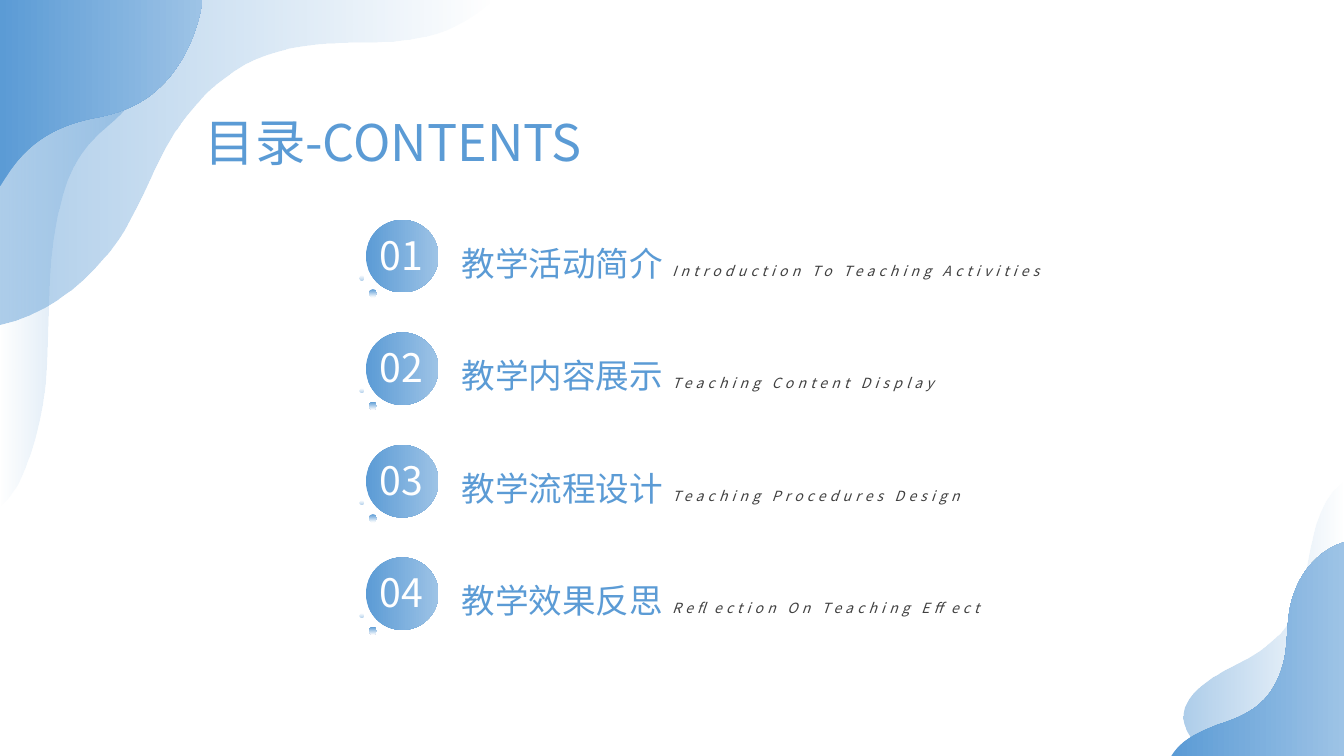
from dataclasses import dataclass

from lxml import etree
from pptx import Presentation
from pptx import util as u
from pptx.dml.color import RGBColor
from pptx.enum import shapes, text
from pptx.oxml.ns import qn

# Slide grid: square cells, a tenth of an inch wide
COLUMNS, ROWS = 133.33, 75
CELL = u.Inches(0.1)
ROW_PITCH = 11.16

FONT = "Noto Sans CJK SC"
COLOURS = {"blue": "5B9BD5", "sky": "9DC3E6", "white": "FFFFFF", "ink": "404040"}

Point = tuple[float, float]


@dataclass(frozen=True)
class Box:
    left: float
    top: float
    width: float
    height: float

    def lower(self, rows: float) -> "Box":
        return Box(self.left, self.top + rows, self.width, self.height)

    def lengths(self) -> list[int]:
        return [cells(n) for n in (self.left, self.top, self.width, self.height)]


@dataclass(frozen=True)
class Gradient:
    names: tuple[str, str]
    opacity: tuple[int, int] = (100, 100)
    angle: int = 0  # counter-clockwise degrees


@dataclass(frozen=True)
class Wave:
    box: Box
    gradient: Gradient
    start: Point
    segments: tuple[tuple[Point, ...], ...]  # three points: curve, one: line


@dataclass(frozen=True)
class Style:
    size: int
    colour: str | Gradient
    italic: bool = False
    spacing: int = 0
    align: text.PP_ALIGN = text.PP_ALIGN.LEFT


@dataclass(frozen=True)
class Disc:
    box: Box
    gradient: Gradient


@dataclass(frozen=True)
class Entry:
    chinese: str
    english: str


SOLID = Gradient(("blue", "sky"))
LETTERS = Gradient(("blue", "sky"), angle=315)
FADE_OUT = Gradient(("blue", "blue"), (50, 0))
FADE_IN = Gradient(("blue", "blue"), (0, 50))

WAVES = (
    # Bottom right corner
    Wave(Box(117.4, 47.7, 15.93, 27.3), FADE_OUT, (132.2, 48.8), (
        ((130.1, 51.5), (130, 54.9), (129.3, 58.1)),
        ((128.4, 62.3), (126.2, 64.1), (122.5, 66)),
        ((119.9, 67.3), (115.7, 69.7), (118.1, 73.1)),
        ((118.6, 73.8), (119.3, 74.5), (120.1, ROWS)),
        ((COLUMNS, ROWS),), ((COLUMNS, 47.7),),
        ((132.9, 48.1), (132.6, 48.4), (132.2, 48.8)))),
    Wave(Box(116.2, 53.8, 17.13, 21.2), SOLID, (COLUMNS, 53.8), (
        ((131, 54.5), (129.2, 56.5), (128.4, 58.8)),
        ((127.4, 61.3), (128, 64), (127.1, 66.5)),
        ((126, 69.7), (124, 70.9), (120.8, 71.9)),
        ((119.3, 72.5), (117.2, 73.3), (116.2, ROWS)),
        ((COLUMNS, ROWS),))),
    # Top left corner
    Wave(Box(0, 6, 14.7, 44.3), FADE_IN, (0, 50.3), (
        ((2, 48.9), (3.5, 44.6), (4.3, 40)),
        ((5.1, 34.7), (4.5, 29.1), (5.3, 23.9)),
        ((6.3, 17.1), (8, 14.7), (10.8, 12.4)),
        ((12.1, 11.3), (13.9, 9.5), (14.7, 6)),
        ((0, 6),))),
    Wave(Box(0, 0, 49.1, 32.2), FADE_OUT, (10.4, 25.5), (
        ((14.3, 21), (14.9, 16), (18.6, 11.4)),
        ((23.5, 5.3), (28.5, 4.3), (35.9, 4.3)),
        ((37.9, 4.3), (40.2, 4.2), (42.3, 3.7)),
        ((45, 3.1), (47.1, 1.7), (49.1, 0)),
        ((0, 0),), ((0, 32.2),),
        ((4.1, 31.3), (7.7, 28.7), (10.4, 25.5)))),
    Wave(Box(0, 0, 20.1, 18.5), SOLID, (0.7, 17.4), (
        ((2.9, 13.9), (5.9, 12.3), (9.9, 11.6)),
        ((11.4, 11.3), (12.7, 10.8), (13.8, 10.2)),
        ((18.8, 7.3), (19.9, 1.4), (20.1, 0)),
        ((0, 0),), ((0, 18.5),))),
)

DISCS = (
    Disc(Box(36.3, 21.82, 7.2, 7.2), SOLID),
    Disc(Box(36.6, 28.71, 0.8, 0.8), Gradient(("blue", "white"), angle=270)),
    Disc(Box(35.7, 27.38, 0.4, 0.4), Gradient(("blue", "blue"), (0, 50), 270)),
)

TITLE_BOX = Box(19.3, 10.5, 49.1, 7.1)
NUMBER_BOX = Box(35.25, 22.43, 9.2, 5.7)
CHINESE_BOX = Box(44.8, 23.57, 24, 5)
ENGLISH_BOX = Box(65.7, 25.55, 42.2, 2.7)

TITLE_STYLE = Style(36, LETTERS)
NUMBER_STYLE = Style(28, "white", align=text.PP_ALIGN.CENTER)
CHINESE_STYLE = Style(24, LETTERS)
ENGLISH_STYLE = Style(10, "ink", italic=True, spacing=3)

ENTRIES = (
    Entry("教学活动简介", "Introduction To Teaching Activities"),
    Entry("教学内容展示", "Teaching Content Display"),
    Entry("教学流程设计", "Teaching Procedures Design"),
    Entry("教学效果反思", "Reflection On Teaching Effect"),
)


def cells(count: float) -> int:
    return round(count * CELL)


def rgb(name: str) -> RGBColor:
    return RGBColor.from_string(COLOURS[name])


def paint(fill, owner, gradient: Gradient) -> None:
    fill.gradient()
    fill.gradient_angle = gradient.angle
    for stop, name in zip(fill.gradient_stops, gradient.names):
        stop.color.rgb = rgb(name)
    for colour, opacity in zip(owner.iter(qn("a:srgbClr")), gradient.opacity):
        if opacity < 100:
            etree.SubElement(colour, qn("a:alpha"), val=str(opacity * 1000))


def finish(shape, gradient: Gradient) -> None:
    shape.shadow.inherit = False
    shape.line.fill.background()
    paint(shape.fill, shape.element.spPr, gradient)


def draw_wave(page, wave: Wave) -> None:
    ends = [(cells(x), cells(y)) for x, y in (s[-1] for s in wave.segments)]
    builder = page.shapes.build_freeform(cells(wave.start[0]), cells(wave.start[1]))
    builder.add_line_segments(ends, close=True)
    shape = builder.convert_to_shape()
    shape.left, shape.top, shape.width, shape.height = wave.box.lengths()
    # Bend the segments, measured from the corner of the wave's box
    outline = next(shape.element.iter(qn("a:path")))
    outline.set("w", str(shape.width))
    outline.set("h", str(shape.height))
    for step, points in zip(outline, ((wave.start,), *wave.segments)):
        if len(points) == 3:
            step.tag = qn("a:cubicBezTo")
        for corner in list(step):
            step.remove(corner)
        for x, y in points:
            etree.SubElement(step, qn("a:pt"), x=str(cells(x - wave.box.left)),
                             y=str(cells(y - wave.box.top)))
    finish(shape, wave.gradient)


def write(box, words: str, style: Style) -> None:
    frame = box.text_frame
    frame.word_wrap = True
    frame.auto_size = text.MSO_AUTO_SIZE.SHAPE_TO_FIT_TEXT
    frame.vertical_anchor = text.MSO_ANCHOR.TOP
    para = frame.paragraphs[0]
    para.alignment = style.align
    span = para.add_run()
    span.text = words
    span.font.size = u.Pt(style.size)
    span.font.italic = style.italic
    span.font.name = FONT
    properties = span.font._element
    etree.SubElement(properties, qn("a:ea"), typeface=FONT)
    if style.spacing:
        properties.set("spc", str(style.spacing * 100))
    if isinstance(style.colour, Gradient):
        paint(span.font.fill, properties, style.colour)
    else:
        span.font.color.rgb = rgb(style.colour)


def draw_entry(page, index: int, entry: Entry) -> None:
    group = page.shapes.add_group_shape()
    drop = index * ROW_PITCH
    for disc in DISCS:
        shape = group.shapes.add_shape(shapes.MSO_SHAPE.OVAL, *disc.box.lower(drop).lengths())
        finish(shape, disc.gradient)
    for box, words, style in ((NUMBER_BOX, f"{index + 1:02}", NUMBER_STYLE),
                              (CHINESE_BOX, entry.chinese, CHINESE_STYLE),
                              (ENGLISH_BOX, entry.english, ENGLISH_STYLE)):
        write(group.shapes.add_textbox(*box.lower(drop).lengths()), words, style)


deck = Presentation()
deck.slide_width, deck.slide_height = cells(COLUMNS), cells(ROWS)
page = deck.slides.add_slide(deck.slide_layouts[5])
for wave in WAVES:
    draw_wave(page, wave)
# Title, raised above the waves
title = page.shapes.title
title.element.getparent().append(title.element)
title.left, title.top, title.width, title.height = TITLE_BOX.lengths()
write(title, "目录-CONTENTS", TITLE_STYLE)
# Contents list
for index, entry in enumerate(ENTRIES):
    draw_entry(page, index, entry)
deck.save("out.pptx")
